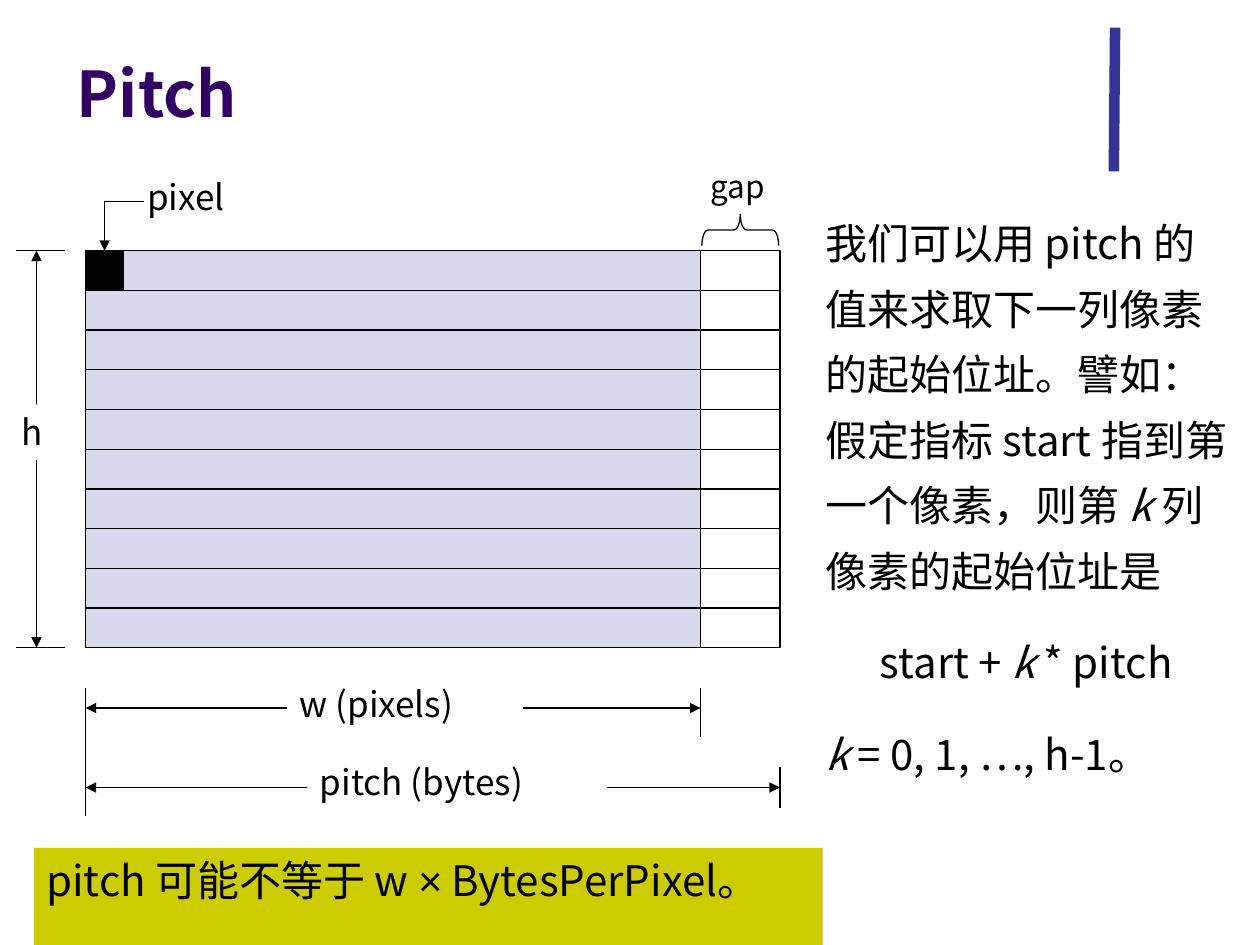
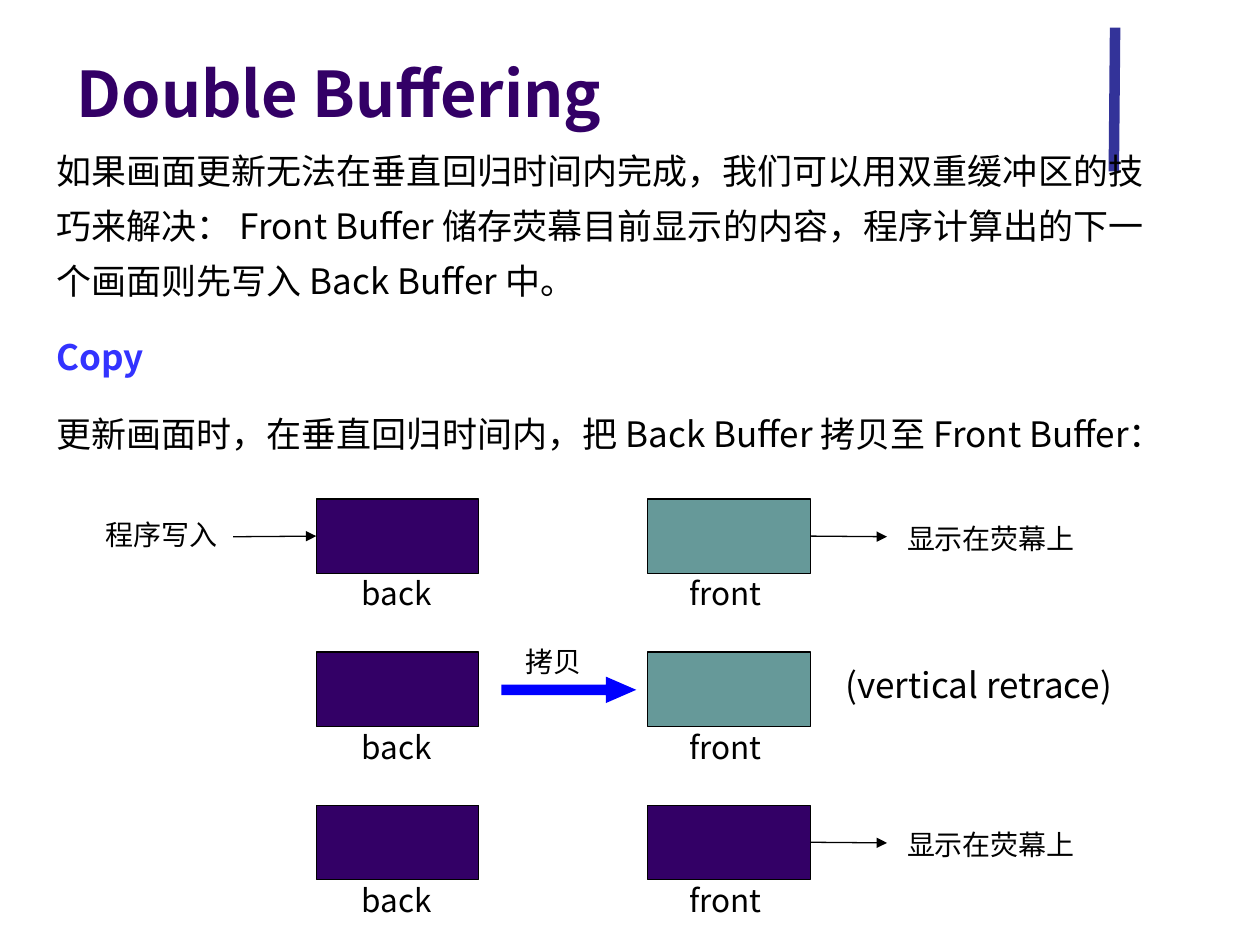
from lxml import etree
from pptx import Presentation
from pptx.dml.color import RGBColor
from pptx.enum.shapes import MSO_CONNECTOR, MSO_SHAPE
from pptx.enum.text import MSO_ANCHOR, MSO_AUTO_SIZE, PP_ALIGN
from pptx.oxml.ns import qn
from pptx.util import Inches, Pt

BLACK = RGBColor(0x00, 0x00, 0x00)
WHITE = RGBColor(0xFF, 0xFF, 0xFF)
PURPLE = RGBColor(0x33, 0x00, 0x66)
INDIGO = RGBColor(0x33, 0x33, 0x99)
LAVENDER = RGBColor(0xD8, 0xD8, 0xEC)
OLIVE = RGBColor(0xCC, 0xCC, 0x00)
TEAL = RGBColor(0x66, 0x99, 0x99)
BLUE = RGBColor(0x00, 0x00, 0xFF)
HEADING_BLUE = RGBColor(0x33, 0x33, 0xFF)
FONT = "Noto Sans CJK SC"

STRAIGHT = MSO_CONNECTOR.STRAIGHT
RECT = MSO_SHAPE.RECTANGLE
BRACE = MSO_SHAPE.LEFT_BRACE
RIGHT_ARROW = MSO_SHAPE.RIGHT_ARROW
LEFT, CENTER = PP_ALIGN.LEFT, PP_ALIGN.CENTER
TOP, BOTTOM = MSO_ANCHOR.TOP, MSO_ANCHOR.BOTTOM
GROW = MSO_AUTO_SIZE.SHAPE_TO_FIT_TEXT
LEFT_SIDE, RIGHT_SIDE = 1, 3


def box_of(*lengths):
    return [Inches(v) for v in lengths]


# Text
def style_paragraph(p, size, color=BLACK, bold=False, align=LEFT,
                    before=0, spacing=None):
    p.alignment = align
    p.space_before = Pt(before)
    if spacing:
        p.line_spacing = spacing
    p.font.name = FONT
    p.font.size = Pt(size)
    p.font.bold = bold
    p.font.color.rgb = color
    props = p._p.pPr.find(qn("a:defRPr"))
    etree.SubElement(props, qn("a:ea")).set("typeface", FONT)


def add_run(p, text, italic=None, font=None):
    r = p.add_run()
    r.text = text
    if italic:
        r.font.italic = True
    if font:
        r.font.name = font


def add_text(s, box, paragraphs, size, fill=None, wrap=True, **style):
    """Each paragraph is (runs, own style); each run is (text, run options)."""
    sp = s.shapes.add_textbox(*box_of(*box))
    if fill is not None:
        sp.fill.solid()
        sp.fill.fore_color.rgb = fill
    tf = sp.text_frame
    tf.word_wrap = wrap
    tf.auto_size = GROW
    tf.vertical_anchor = TOP
    for i, (runs, own) in enumerate(paragraphs):
        p = tf.add_paragraph() if i else tf.paragraphs[0]
        style_paragraph(p, size, **{**style, **own})
        for text, options in runs:
            add_run(p, text, **options)
    return sp


def add_label(s, box, text, size, **style):
    return add_text(s, box, [([(text, {})], {})], size, **style)


# Lines and shapes
def add_arrowheads(sp, head, tail):
    ln = sp.line._get_or_add_ln()
    for wanted, tag in ((head, "a:headEnd"), (tail, "a:tailEnd")):
        if wanted:
            etree.SubElement(ln, qn(tag)).set("type", "triangle")


def add_line(s, x1, y1, x2, y2, head=False, tail=False, color=BLACK, width=0.75):
    line = s.shapes.add_connector(STRAIGHT, *box_of(x1, y1, x2, y2))
    line.line.color.rgb = color
    line.line.width = Pt(width)
    add_arrowheads(line, head, tail)
    etree.SubElement(line._element.spPr, qn("a:effectLst"))
    return line


def paint(sp, fill, line):
    sp.shadow.inherit = False
    if fill is None:
        sp.fill.background()
    else:
        sp.fill.solid()
        sp.fill.fore_color.rgb = fill
    if line is None:
        sp.line.fill.background()
    else:
        sp.line.color.rgb = line
        sp.line.width = Pt(0.75)


def add_shape(s, kind, box, fill=None, line=BLACK):
    sp = s.shapes.add_shape(kind, *box_of(*box))
    paint(sp, fill, line)
    return sp


# Shared slide frame
def add_slide(prs, title):
    s = prs.slides.add_slide(prs.slide_layouts[5])
    sp = s.shapes.title
    sp.left, sp.top, sp.width, sp.height = box_of(0.51, 0.28, 8.25, 0.8)
    tf = sp.text_frame
    tf.text = title
    tf.vertical_anchor = BOTTOM
    style_paragraph(tf.paragraphs[0], 36, PURPLE, bold=True)
    add_line(s, 8.85, 0.22, 8.84, 1.36, color=INDIGO, width=6)
    return s


def add_surface(s, left, top, width, pitch, row_h, rows):
    """Pixel rows with the gap at their end, and the first pixel."""
    height = row_h * rows
    add_shape(s, RECT, (left, top, width, height), LAVENDER)
    add_shape(s, RECT, (left, top, pitch, height))
    for i in range(1, rows):
        y = top + i * row_h
        add_line(s, left, y, left + pitch, y)
    add_shape(s, RECT, (left, top, 0.3, row_h), BLACK)


def pitch_slide(prs):
    s = add_slide(prs, "Pitch")
    left, top, width, pitch, row_h, rows = 0.68, 1.99, 4.88, 5.51, 0.315, 10
    bottom, row_end, right = top + row_h * rows, left + width, left + pitch
    italic = {"italic": True}

    # Explanation and remark
    add_text(s, (6.45, 1.56, 3.39, 5), [
        ([("我们可以用 pitch 的值来求取下一列像素的起始位址。譬如：假定指标 start "
           "指到第一个像素，则第 ", {}), ("k ", italic),
          ("列像素的起始位址是", {})], {}),
        ([("start + ", {}), ("k", italic), (" * pitch", {})], {"align": CENTER}),
        ([("k", italic), (" = 0, 1, …, h-1。", {})], {}),
    ], 24, before=15, spacing=1.3)
    remark = [("pitch 可能不等于 w ", {}), ("×", {"font": "Arial"}),
              (" BytesPerPixel。", {})]
    sp = add_text(s, (0.27, 6.73, 6.26, 0.77), [(remark, {})], 24,
                  fill=OLIVE, before=15)
    sp.text_frame.auto_size = MSO_AUTO_SIZE.NONE

    add_surface(s, left, top, width, pitch, row_h, rows)

    # Height dimension
    for y in (top, bottom):
        add_line(s, 0.52, y, 0.13, y)
    add_line(s, 0.29, top, 0.29, bottom, head=True, tail=True)
    add_label(s, (0.07, 3.21, 0.37, 0.44), "h", 20, fill=WHITE, wrap=False)

    # Width and pitch dimensions
    add_line(s, left, 5.46, left, 6.48)
    for end, y, box, text in (
            (row_end, 5.62, (2.28, 5.37, 1.87, 0.44), "w (pixels)"),
            (right, 6.25, (2.44, 5.99, 2.38, 0.44), "pitch (bytes)")):
        add_line(s, end, y - 0.16, end, y + 0.23 - 0.07 * (end == right))
        add_line(s, left, y, end, y, head=True, tail=True)
        add_label(s, box, text, 20, fill=WHITE, wrap=False)

    # Gap and pixel callouts
    brace = add_shape(s, BRACE, (5.75, 1.52, 0.25, 0.61))
    brace.rotation = 90
    brace.adjustments[0] = 0.2
    add_label(s, (5.54, 1.28, 0.65, 0.4), "gap", 18, wrap=False)
    builder = s.shapes.build_freeform(Inches(0.83), Inches(top))
    builder.add_line_segments([box_of(0.83, 1.6), box_of(1.14, 1.6)], close=False)
    pointer = builder.convert_to_shape()
    paint(pointer, None, BLACK)
    add_arrowheads(pointer, head=True, tail=False)
    add_label(s, (1.07, 1.34, 1.04, 0.44), "pixel", 20, wrap=False)


def add_buffers(s, top, front_color):
    """Back and front buffer side by side, with their captions."""
    buffers = []
    for x, color, label_x, label_w, name in (
            (2.51, PURPLE, 2.77, 0.8, "back"),
            (5.14, front_color, 5.37, 0.95, "front")):
        buffers.append(add_shape(s, RECT, (x, top, 1.29, 0.59), color))
        add_label(s, (label_x, top + 0.55, label_w, 0.4), name, 18, wrap=False)
    return buffers


def add_display(s, front, top):
    y = top + 0.3
    arrow = add_line(s, 6.43, y, 7.04, y, tail=True)
    arrow.begin_connect(front, RIGHT_SIDE)
    add_label(s, (7.1, top + 0.13, 1.55, 0.37), "显示在荧幕上", 16, before=10)


def double_buffering_slide(prs):
    s = add_slide(prs, "Double Buffering")
    add_text(s, (0.35, 1.04, 9.06, 3.05), [
        ([("如果画面更新无法在垂直回归时间内完成，我们可以用双重缓冲区的技巧来解决： "
           "Front Buffer 储存荧幕目前显示的内容，程序计算出的下一个画面则先写入 "
           "Back Buffer 中。", {})], {}),
        ([("Copy", {})], {"color": HEADING_BLUE, "bold": True}),
        ([("更新画面时，在垂直回归时间内，把 Back Buffer 拷贝至 Front Buffer：",
           {})], {}),
    ], 20, before=12.5, spacing=1.3)

    write_top, copy_top, show_top = [3.96 + 1.215 * i for i in range(3)]

    # Program writes to the back buffer
    back, front = add_buffers(s, write_top, TEAL)
    arrow = add_line(s, 1.85, write_top + 0.3, 2.51, write_top + 0.3, tail=True)
    arrow.end_connect(back, LEFT_SIDE)
    add_label(s, (0.74, 4.06, 1.18, 0.37), "程序写入", 16, before=10)
    add_display(s, front, write_top)

    # Copy during the vertical retrace
    add_buffers(s, copy_top, TEAL)
    copy_arrow = add_shape(s, RIGHT_ARROW, (3.98, 5.37, 1.07, 0.21), BLUE, None)
    copy_arrow.adjustments[0] = 0.4
    copy_arrow.adjustments[1] = 1.15
    add_label(s, (4.07, 5.07, 0.66, 0.37), "拷贝", 16, before=10)
    add_label(s, (6.61, 5.22, 3.21, 0.44), "(vertical retrace)", 20, wrap=False)

    # New picture is shown
    _, front = add_buffers(s, show_top, PURPLE)
    add_display(s, front, show_top)


def main():
    prs = Presentation()
    prs.slide_width, prs.slide_height = box_of(10, 7.5)
    pitch_slide(prs)
    double_buffering_slide(prs)
    prs.save("out.pptx")


if __name__ == "__main__":
    main()
